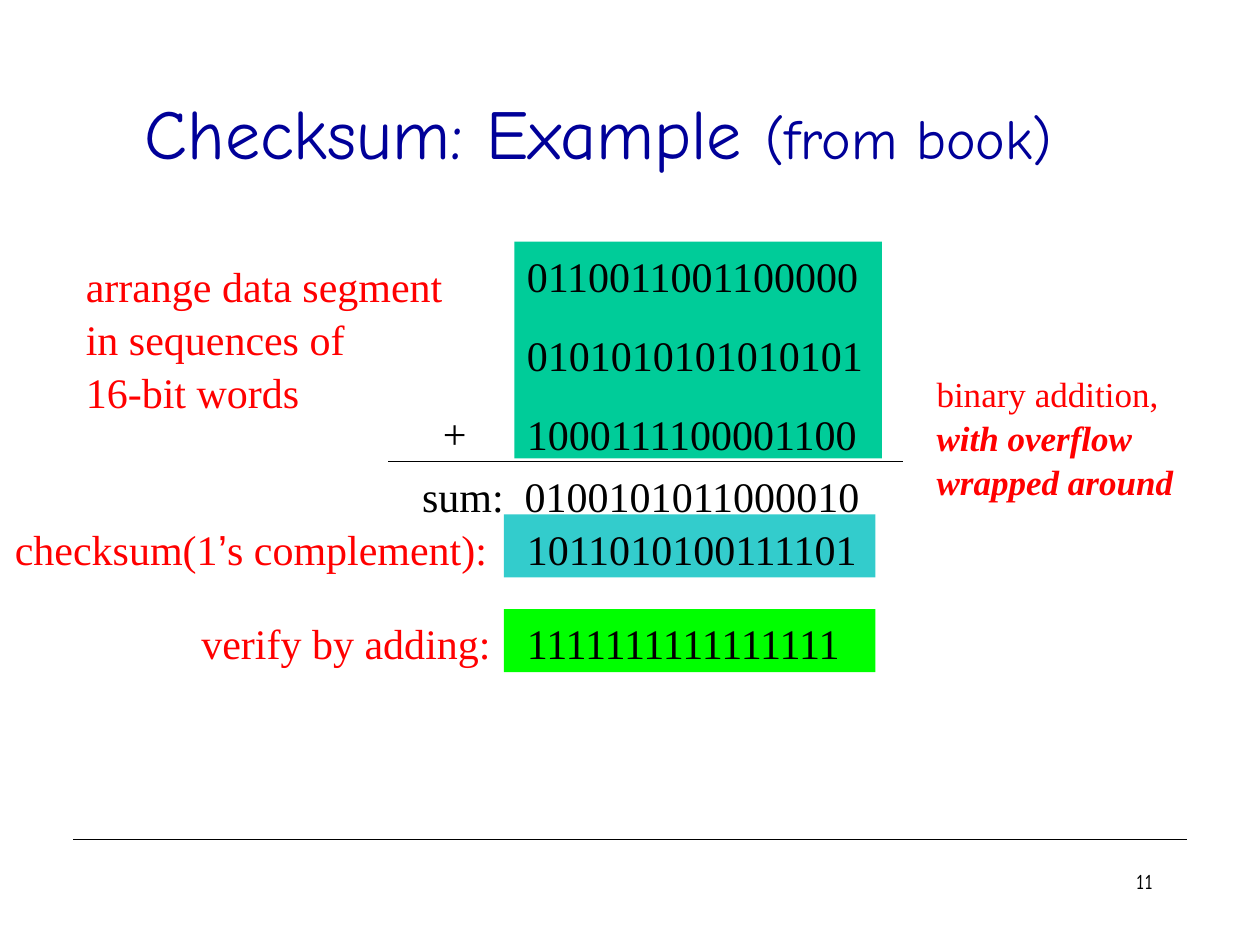
from dataclasses import dataclass

import pptx
import pptx.dml.color
import pptx.enum.shapes
import pptx.enum.text
import pptx.util
from lxml import etree
from pptx.oxml.ns import qn

Cm, Pt = pptx.util.Cm, pptx.util.Pt
RGBColor = pptx.dml.color.RGBColor
Align = pptx.enum.text.PP_ALIGN

BLACK = RGBColor(0, 0, 0)
RED = RGBColor(255, 0, 0)
NAVY = RGBColor(0, 0, 0x99)
GREEN = RGBColor(0, 0xCC, 0x99)
TEAL = RGBColor(0x33, 0xCC, 0xCC)
LIME = RGBColor(0, 255, 0)
SERIF, COMIC = "Times New Roman", "Comic Neue"


@dataclass
class Block:
    left: float
    top: float
    width: float
    lines: list[str]
    height: float = 1.27
    color: RGBColor = BLACK
    fill: RGBColor | None = None
    size: int = 24
    gap: int = 0  # points before each paragraph


def style(para, face: str, size: int, color: RGBColor) -> None:
    para.font.name = face
    para.font.size = Pt(size)
    para.font.color.rgb = color


def draw(slide, block: Block):
    """Draw a block of text and return its text frame."""
    area = [Cm(n) for n in (block.left, block.top, block.width, block.height)]
    if block.fill is None:
        shape = slide.shapes.add_textbox(*area)
    else:
        shape = slide.shapes.add_shape(
            pptx.enum.shapes.MSO_SHAPE.RECTANGLE, *area)
        shape.shadow.inherit = False
        shape.fill.solid()
        shape.fill.fore_color.rgb = block.fill
        shape.line.fill.background()
    frame = shape.text_frame
    frame.word_wrap = True
    frame.margin_right = 0
    frame.vertical_anchor = pptx.enum.text.MSO_ANCHOR.TOP
    frame.text = "\n".join(block.lines)
    for para in frame.paragraphs:
        para.alignment = Align.LEFT
        para.line_spacing = 1.05
        para.space_before = Pt(block.gap)
        style(para, SERIF, block.size, block.color)
    return frame


def rule(slide, left: float, right: float, y: float) -> None:
    line = slide.shapes.add_connector(
        pptx.enum.shapes.MSO_CONNECTOR.STRAIGHT,
        Cm(left), Cm(y), Cm(right), Cm(y))
    line.line.color.rgb = BLACK
    line.line.width = Pt(0.75)
    etree.SubElement(line._element.spPr, qn("a:effectLst"))


def main() -> None:
    deck = pptx.Presentation()
    deck.slide_width, deck.slide_height = Cm(25.4), Cm(19.05)
    slide = deck.slides.add_slide(deck.slide_layouts[5])

    # Title
    title = slide.shapes.title
    title.left, title.top = Cm(1.27), Cm(1.06)
    title.width, title.height = Cm(21.59), Cm(3.18)
    title.text_frame.vertical_anchor = pptx.enum.text.MSO_ANCHOR.MIDDLE
    head = title.text_frame.paragraphs[0]
    head.alignment = Align.CENTER
    style(head, COMIC, 40, NAVY)
    for text, size in (("Checksum: Example ", 40), ("(from book)", 32)):
        run = head.add_run()
        run.text = text
        run.font.size = Pt(size)

    # Footer
    rule(slide, 1.48, 23.92, 16.93)
    page = draw(slide, Block(18.2, 17.36, 5.29, ["11"]))
    page.margin_right = Cm(0.25)
    page.paragraphs[0].alignment = Align.RIGHT
    style(page.paragraphs[0], COMIC, 12, BLACK)

    # Addition
    rule(slide, 7.83, 18.2, 9.31)
    words = ["0110011001100000", "0101010101010101", "1000111100001100"]
    hint = ["arrange data segment", "in sequences of", "16-bit words"]
    for block in (
        Block(8.68, 8.04, 1.06, ["+"], gap=15),
        Block(8.26, 9.31, 10.58, ["sum:  0100101011000010"], gap=15),
        Block(10.16, 10.37, 7.49, [" 1011010100111101"], fill=TEAL),
        Block(3.81, 12.28, 6.33, ["verify by adding:"], color=RED),
        Block(10.16, 12.28, 7.49, [" 1111111111111111"], fill=LIME),
        Block(10.37, 4.87, 7.41, words, 4.37, fill=GREEN, gap=15),
        Block(1.48, 5.08, 7.7, hint, 4.32, RED),
    ):
        draw(slide, block)

    # Checksum label, with its apostrophe in another face
    label = draw(slide, Block(0.05, 10.37, 10.24, ["checksum(1"], color=RED))
    for text, face in (("’", "Arial"), ("s complement):", SERIF)):
        run = label.paragraphs[0].add_run()
        run.text = text
        run.font.name = face

    # Note on overflow
    note = ["binary addition,", "with overflow", "wrapped around"]
    frame = draw(slide, Block(18.63, 7.34, 5.29, note, 2.79, RED, size=20))
    for para in frame.paragraphs[1:]:
        para.font.bold = para.font.italic = True

    deck.save("out.pptx")


if __name__ == "__main__":
    main()
